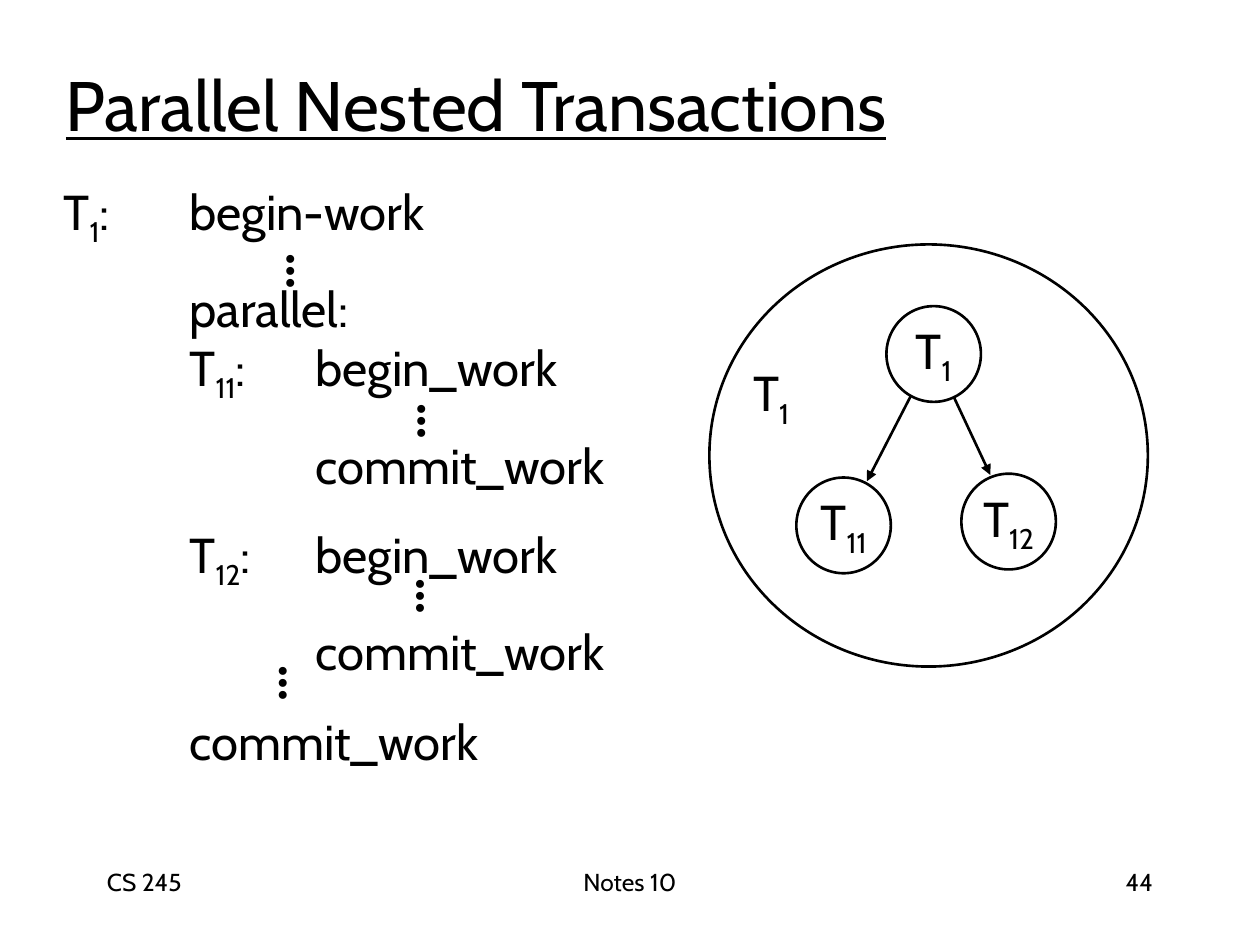
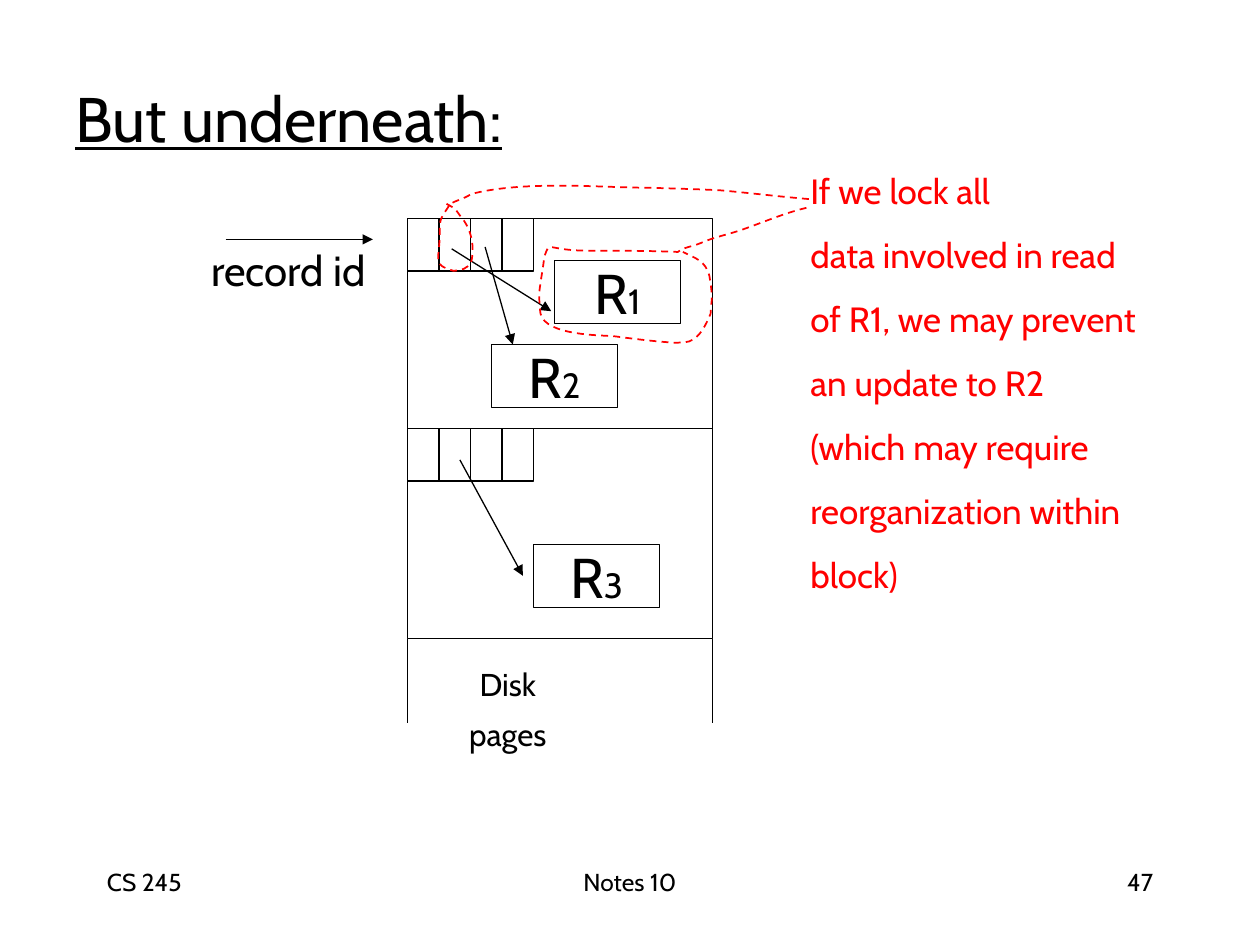
from lxml.etree import SubElement
from pptx import Presentation
from pptx.dml.color import RGBColor
from pptx.enum.dml import MSO_LINE
from pptx.enum.shapes import MSO_CONNECTOR, MSO_SHAPE
from pptx.enum.text import MSO_ANCHOR, PP_ALIGN
from pptx.oxml.ns import qn
from pptx.util import Emu, Inches, Pt

BLACK = RGBColor(0x00, 0x00, 0x00)
WHITE = RGBColor(0xFF, 0xFF, 0xFF)
RED = RGBColor(0xFF, 0x00, 0x00)
SANS = "Cabin"
SERIF = "Times New Roman"
LEFT, CENTER, RIGHT = PP_ALIGN.LEFT, PP_ALIGN.CENTER, PP_ALIGN.RIGHT

# The slide is a grid of 100 columns by 75 rows of square cells.
COLUMNS, ROWS = 100, 75
CELL = Inches(10) / COLUMNS
TAB_STOPS = [Inches(stop) for stop in range(8)]

PAGE_LEFT, PAGE_TOP = 32.35, 17.35
PAGE_WIDTH, PAGE_HEIGHT = 24.2, 16.67
SLOT_WIDTH, SLOT_HEIGHT, SLOT_COUNT = 2.5, 4.17, 4

# Bezier paths: a start, then two handles and an end for each segment.
SLOT_LOOP = [
    (64.2, 15.8),
    (61.8, 15.6), (59.4, 15.3), (57.1, 15.1),
    (55.1, 15), (51.3, 14.9), (51.3, 14.9),
    (48, 14.9), (41.6, 14.3), (37.4, 15.4),
    (36.8, 15.8), (36.2, 15.9), (35.7, 16.2),
    (35.3, 17), (35, 17), (34.9, 17.9),
    (35, 20.8), (34.1, 20.9), (36, 21.5),
    (36.7, 21.4), (37, 21.4), (37.4, 20.8),
    (37.7, 19.5), (37.4, 18.1), (36.5, 17.1),
    (36.4, 16.9), (36.2, 16.7), (36, 16.5),
    (35.7, 16.3), (35.1, 16), (35.1, 16),
]
RECORD_LOOP = [
    (64, 16.5),
    (62.3, 16.9), (60.7, 17.6), (59, 18.2),
    (57.9, 18.6), (56.7, 18.8), (55.6, 19.3),
    (54.9, 19.6), (54.3, 19.6), (53.8, 20),
    (51.4, 19.9), (49, 19.9), (46.7, 19.9),
    (43.2, 19.9), (43.7, 19), (43.2, 20.4),
    (43.1, 21.3), (42.9, 22.3), (42.8, 23.2),
    (42.8, 23.7), (42.8, 24.3), (42.9, 24.9),
    (43.3, 26.7), (48, 26.6), (48.8, 26.7),
    (50.3, 26.9), (51.9, 27.1), (53.5, 27.2),
    (53.9, 27.2), (54.3, 27.2), (54.7, 27.1),
    (55.6, 26.8), (56.1, 25.6), (56.4, 24.9),
    (56.4, 24.4), (56.5, 24), (56.5, 23.6),
    (56.5, 23.1), (56.4, 22.5), (56.3, 21.9),
    (56, 20.7), (55.2, 20.5), (54.2, 20),
]


def cells(*counts):
    """Turn counts of grid cells into lengths."""
    return [Emu(round(count * CELL)) for count in counts]


def add_tab_stops(para):
    stops = SubElement(para._p.get_or_add_pPr(), qn("a:tabLst"))
    for stop in TAB_STOPS:
        SubElement(stops, qn("a:tab"), pos=str(stop), algn="l")


def write(shape, lines, size, color=BLACK, font=SANS, align=CENTER, wrap=False,
          anchor=MSO_ANCHOR.MIDDLE, before=0, spacing=None, index_size=None,
          bold=None, underline=None):
    """Fill a shape with paragraphs; text between bars is an index.

    An index is a subscript unless index_size makes it a smaller run.
    """
    frame = shape.text_frame
    frame.word_wrap = wrap
    frame.vertical_anchor = anchor
    for number, line in enumerate(lines):
        para = frame.add_paragraph() if number else frame.paragraphs[0]
        para.alignment = align
        para.line_spacing = spacing
        if number and before:
            para.space_before = Pt(before)
        if "\t" in line:
            add_tab_stops(para)
        for position, part in enumerate(line.split("|")):
            for row, text in enumerate(part.split("\n")):
                if row:
                    para.add_line_break()
                if not text:
                    continue
                span = para.add_run()
                span.text = text
                is_index = position % 2 == 1
                span.font.name = font
                span.font.size = Pt(index_size if is_index and index_size else size)
                span.font.color.rgb = color
                span.font.bold = bold
                span.font.underline = underline
                if is_index and not index_size:
                    span._r.get_or_add_rPr().set("baseline", "-25000")


def add_text(page, area, lines, size, **style):
    box = page.shapes.add_textbox(*cells(*area))
    write(box, lines, size, **style)
    return box


def add_figure(page, kind, area, weight, fill=WHITE):
    shape = page.shapes.add_shape(kind, *cells(*area))
    shape.shadow.inherit = False
    if fill is None:
        shape.fill.background()
    else:
        shape.fill.solid()
        shape.fill.fore_color.rgb = fill
    shape.line.color.rgb = BLACK
    shape.line.width = Pt(weight)
    return shape


def add_line(page, start, end, weight, arrow=True):
    line = page.shapes.add_connector(MSO_CONNECTOR.STRAIGHT, *cells(*start, *end))
    line.line.color.rgb = BLACK
    line.line.width = Pt(weight)
    properties = line._element.spPr
    if arrow:
        SubElement(properties.find(qn("a:ln")), qn("a:tailEnd"), type="triangle")
    SubElement(properties, qn("a:effectLst"))


def bend(outline):
    """Turn each three straight steps of a freeform into one Bezier segment."""
    path = next(outline._element.iter(qn("a:path")))
    steps = path.findall(qn("a:lnTo"))
    for first in range(0, len(steps), 3):
        curve = SubElement(path, qn("a:cubicBezTo"))
        for step in steps[first:first + 3]:
            curve.append(step[0])
            path.remove(step)


def add_dashed_loop(page, points):
    builder = page.shapes.build_freeform(*cells(*points[0]))
    builder.add_line_segments([cells(*point) for point in points[1:]], close=False)
    loop = builder.convert_to_shape()
    bend(loop)
    loop.shadow.inherit = False
    loop.fill.background()
    loop.line.color.rgb = RED
    loop.line.width = Pt(1)
    loop.line.dash_style = MSO_LINE.DASH


def add_page(deck, title, title_area, title_size, number):
    """Add a slide with its underlined title and three-part footer."""
    page = deck.slides.add_slide(deck.slide_layouts[6])
    add_text(page, title_area, [title], title_size, align=LEFT, wrap=True, underline=True)
    footers = ((7.5, 20.8, "CS 245", LEFT),
               (34.15, 31.7, "Notes 10", CENTER),
               (71.7, 20.8, number, RIGHT))
    for left, width, text, align in footers:
        add_text(page, (left, 68.3, width, 5), [text], 14, align=align, wrap=True,
                 anchor=MSO_ANCHOR.TOP)
    return page


def add_vertical_dots(page, left, top):
    dots = add_text(page, (left, top, 4.9, 5.7), ["..."], 28, font=SERIF, bold=True)
    dots.rotation = 270


def add_transaction(page, index, left, top):
    node = add_figure(page, MSO_SHAPE.OVAL, (left, top, 7.5, 7.6), 1.5)
    write(node, [f"T|{index}|"], 28)


def add_disk_page(page, top):
    add_figure(page, MSO_SHAPE.RECTANGLE, (PAGE_LEFT, top, PAGE_WIDTH, PAGE_HEIGHT), 0.75)
    for slot in range(SLOT_COUNT):
        add_figure(page, MSO_SHAPE.RECTANGLE,
                   (PAGE_LEFT + slot * SLOT_WIDTH, top, SLOT_WIDTH, SLOT_HEIGHT), 0.75)


def add_record(page, index, left, top):
    record = add_figure(page, MSO_SHAPE.RECTANGLE, (left, top, 10, 5), 0.75)
    write(record, [f"R|{index}|"], 32, index_size=20)


def build_nested_transactions(deck):
    page = add_page(deck, "Parallel Nested Transactions", (4.25, 3.8, 85, 8.8), 40, "44")
    steps = ["T|1|: \tbegin-work",
             "\tparallel:\n\tT|11|:\tbegin_work",
             "\t\tcommit_work",
             "\tT|12|:\tbegin_work",
             "\t\tcommit_work",
             "\tcommit_work"]
    add_text(page, (4.05, 13.85, 49.5, 47.8), steps, 28, align=LEFT, wrap=True, before=17.5)
    for left, top in ((19.3, 18.7), (18.7, 51.4), (29.7, 30.6), (29.6, 44.5)):
        add_vertical_dots(page, left, top)

    for index, left, top in ((1, 70.35, 24.3), (11, 63.2, 37.9), (12, 76.3, 37.6)):
        add_transaction(page, index, left, top)
    add_line(page, (72.3, 31.4), (68.8, 38.2), 1.5)
    add_line(page, (75.7, 31.5), (78.6, 37.7), 1.5)
    add_figure(page, MSO_SHAPE.OVAL, (56.3, 19.4, 34.8, 33.5), 1.5, fill=None)
    add_text(page, (58.5, 28.3, 5.4, 6.3), ["T|1|"], 28)


def build_underneath(deck):
    page = add_page(deck, "But underneath:", (5, 3.05, 85, 12.5), 36, "47")
    add_text(page, (14.85, 18.9, 16.1, 5), ["record id"], 24)
    add_line(page, (17.9, 19), (29.6, 19), 0.75)

    for number in range(2):
        add_disk_page(page, PAGE_TOP + number * PAGE_HEIGHT)
    bottom = PAGE_TOP + 2 * PAGE_HEIGHT
    for side in (PAGE_LEFT, PAGE_LEFT + PAGE_WIDTH):
        add_line(page, (side, bottom), (side, bottom + 6.7), 0.75, arrow=False)
    add_text(page, (35.75, 52.85, 9.1, 7.4), ["Disk", "pages"], 18, before=11.2, spacing=0.8)

    for index, left, top in ((1, 44, 20.7), (2, 39, 27.35), (3, 42.35, 43.2)):
        add_record(page, index, left, top)
    for start, end in (((35.85, 19.75), (43.75, 24.7)),
                       ((38.5, 19.6), (40.7, 27.35)),
                       ((36.5, 36.5), (41.5, 45.7))):
        add_line(page, start, end, 0.75)

    warning = ["If we lock all", "data involved in read", "of R1, we may prevent",
               "an update to R2", "(which may require", "reorganization within",
               "block)"]
    add_text(page, (63.33, 12.95, 31.1, 34.8), warning, 20, color=RED, align=LEFT,
             wrap=True, before=12.5)
    for points in (SLOT_LOOP, RECORD_LOOP):
        add_dashed_loop(page, points)


def main():
    deck = Presentation()
    deck.slide_width, deck.slide_height = cells(COLUMNS, ROWS)
    build_nested_transactions(deck)
    build_underneath(deck)
    deck.save("out.pptx")


if __name__ == "__main__":
    main()
